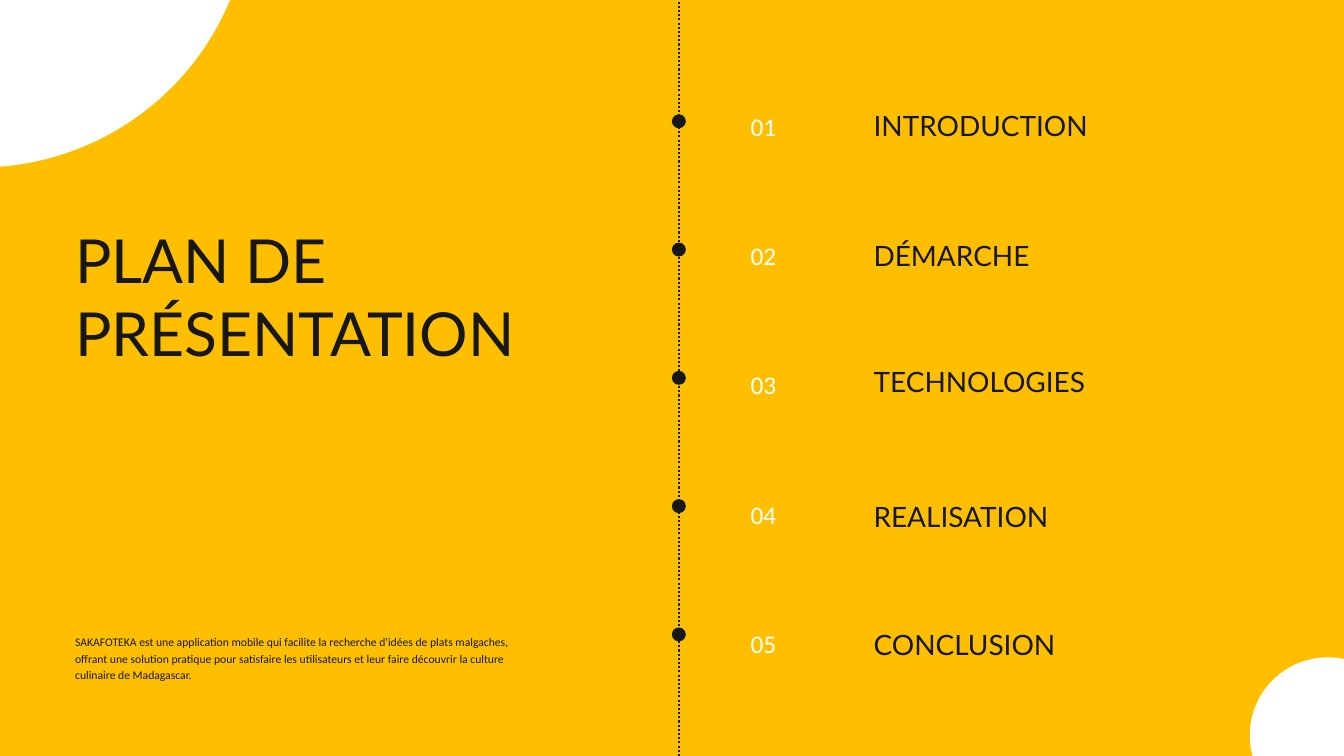
"""Build the agenda slide: a title, a short description and a five-step dotted timeline."""
from dataclasses import dataclass

from lxml import etree
from pptx import Presentation
from pptx.dml.color import RGBColor
from pptx.enum.dml import MSO_LINE
from pptx.enum.shapes import MSO_CONNECTOR, MSO_SHAPE
from pptx.enum.text import MSO_ANCHOR, MSO_AUTO_SIZE, PP_ALIGN
from pptx.oxml.ns import qn
from pptx.util import Cm, Pt

OVAL = MSO_SHAPE.OVAL
STRAIGHT = MSO_CONNECTOR.STRAIGHT
DOTTED = MSO_LINE.ROUND_DOT
TOP = MSO_ANCHOR.TOP
LEFT = PP_ALIGN.LEFT
NO_AUTOFIT = MSO_AUTO_SIZE.NONE

TITLE = "PLAN DE PRÉSENTATION"
DESCRIPTION = (
    "SAKAFOTEKA est une application mobile qui facilite la recherche d'idées de plats "
    "malgaches, offrant une solution pratique pour satisfaire les utilisateurs et leur "
    "faire découvrir la culture culinaire de Madagascar."
)
STEPS = [
    ("INTRODUCTION", 3.91),
    ("DÉMARCHE", 8.81),
    ("TECHNOLOGIES", 13.56),
    ("REALISATION", 18.69),
    ("CONCLUSION", 23.52),
]
CORNER_CIRCLES = [(-11.07, -14.22, 20.55), (47.24, 24.85, 5.9)]

SLIDE_WIDTH, SLIDE_HEIGHT = 50.8, 28.58
AXIS_X = 25.66
DOT_SIZE, DOT_TOP, DOT_PITCH = 0.53, 4.32, 4.85
NUMBER_TOP, NUMBER_PITCH = 4.02, 4.88


@dataclass(frozen=True)
class TextStyle:
    font: str
    size: float
    leading: float
    color: RGBColor


class Theme:
    yellow = RGBColor.from_string("FEBF00")
    ink = RGBColor.from_string("171717")
    white = RGBColor.from_string("FFFFFF")
    title = TextStyle("Lato", 65, 78, ink)
    label = TextStyle("Lato", 30, 42, ink)
    number = TextStyle("Calibri", 27.2, 38.1, white)
    description = TextStyle("Calibri", 12.5, 17.5, ink)


def write(shape, text, style):
    frame = shape.text_frame
    frame.text = text
    frame.word_wrap = True
    frame.auto_size = NO_AUTOFIT
    frame.vertical_anchor = TOP
    frame.margin_left = frame.margin_right = frame.margin_top = frame.margin_bottom = 0
    paragraph = frame.paragraphs[0]
    paragraph.alignment = LEFT
    paragraph.line_spacing = Pt(style.leading)
    paragraph.space_before = Pt(0)
    paragraph.font.name = style.font
    paragraph.font.size = Pt(style.size)
    paragraph.font.color.rgb = style.color


def add_text(slide, text, style, left, top, width, height):
    box = slide.shapes.add_textbox(Cm(left), Cm(top), Cm(width), Cm(height))
    write(box, text, style)


def add_circle(slide, left, top, size, color):
    circle = slide.shapes.add_shape(OVAL, Cm(left), Cm(top), Cm(size), Cm(size))
    circle.shadow.inherit = False
    circle.fill.solid()
    circle.fill.fore_color.rgb = color
    circle.line.fill.background()


def add_axis(slide):
    axis = slide.shapes.add_connector(STRAIGHT, Cm(AXIS_X), Cm(SLIDE_HEIGHT), Cm(AXIS_X), Cm(0))
    axis.line.color.rgb = Theme.ink
    axis.line.width = Pt(2.25)
    axis.line.dash_style = DOTTED
    etree.SubElement(axis.element.spPr, qn("a:effectLst"))


def add_title(slide):
    title = slide.shapes.title
    title.left, title.top, title.width, title.height = Cm(2.84), Cm(8.43), Cm(18.75), Cm(5.51)
    write(title, TITLE, Theme.title)


def add_steps(slide):
    for index, (label, label_top) in enumerate(STEPS):
        dot_top = DOT_TOP + index * DOT_PITCH
        number_top = NUMBER_TOP + index * NUMBER_PITCH
        add_circle(slide, AXIS_X - DOT_SIZE / 2, dot_top, DOT_SIZE, Theme.ink)
        add_text(slide, f"{index + 1:02}", Theme.number, 28.37, number_top, 3.91, 1.3)
        add_text(slide, label, Theme.label, 33.02, label_top, 8.46, 1.37)


def main():
    presentation = Presentation()
    presentation.slide_width = Cm(SLIDE_WIDTH)
    presentation.slide_height = Cm(SLIDE_HEIGHT)
    slide = presentation.slides.add_slide(presentation.slide_layouts[5])
    slide.background.fill.solid()
    slide.background.fill.fore_color.rgb = Theme.yellow

    add_axis(slide)
    for left, top, size in CORNER_CIRCLES:
        add_circle(slide, left, top, size, Theme.white)
    add_title(slide)
    add_text(slide, DESCRIPTION, Theme.description, 2.84, 23.93, 17.12, 1.78)
    add_steps(slide)
    presentation.save("out.pptx")


if __name__ == "__main__":
    main()
